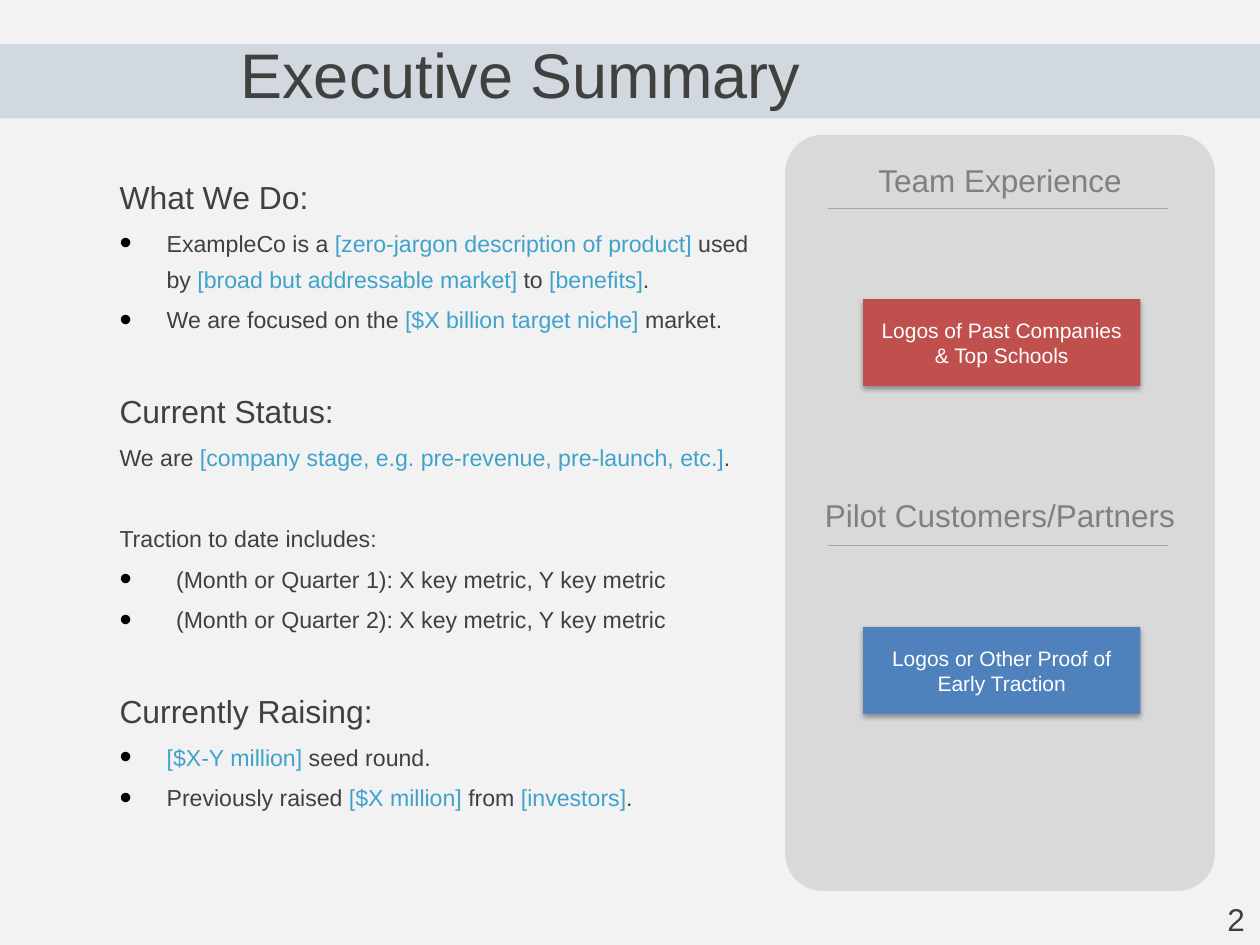
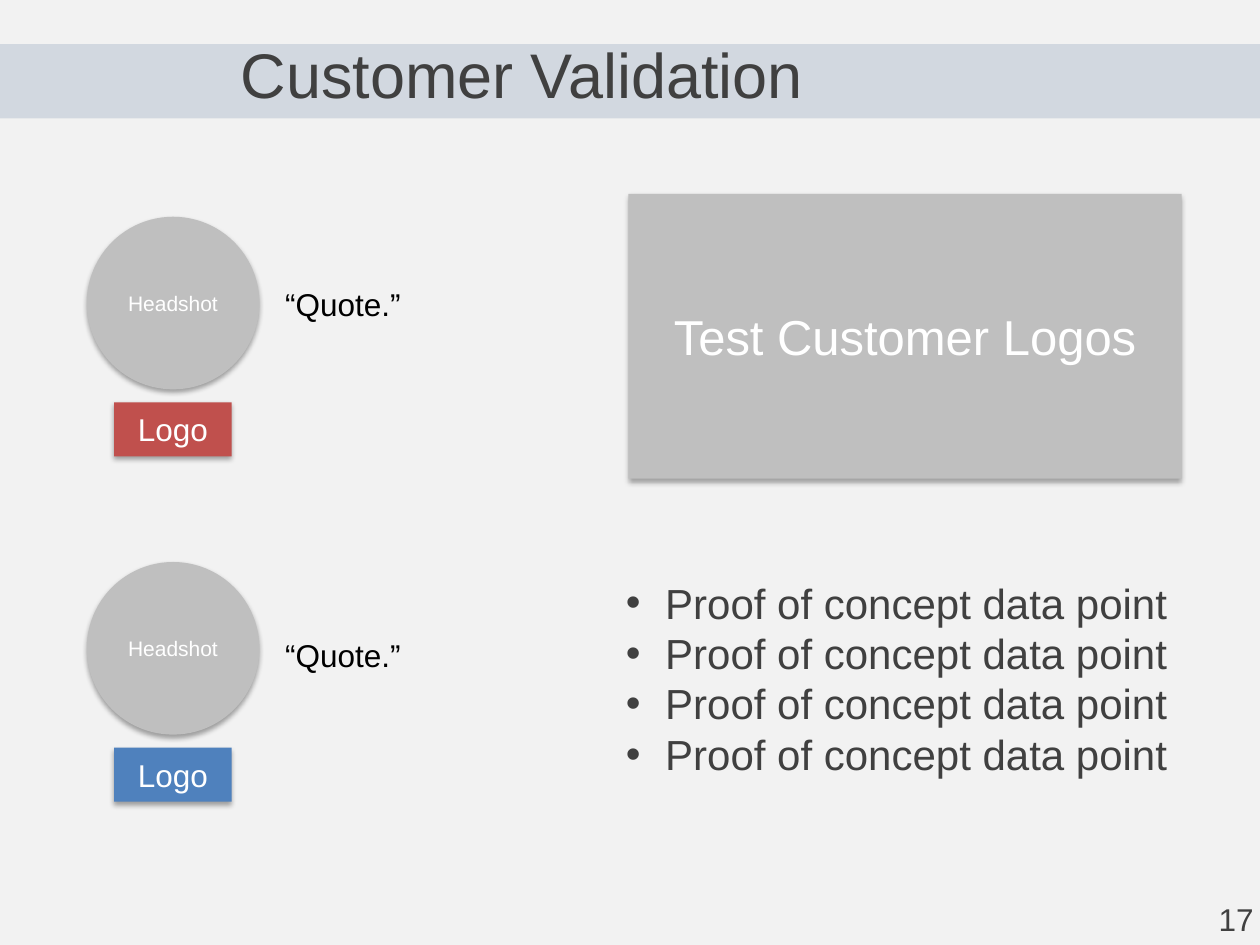
from dataclasses import dataclass

from lxml.etree import SubElement
from pptx import Presentation
from pptx.dml.color import RGBColor
from pptx.enum.shapes import MSO_CONNECTOR, MSO_SHAPE
from pptx.enum.text import MSO_ANCHOR, MSO_AUTO_SIZE, PP_ALIGN
from pptx.oxml.ns import qn
from pptx.util import Cm, Pt


@dataclass(frozen=True)
class Theme:
    """Colours, font and type sizes of the deck."""

    font: str = "Arial"
    background: str = "F2F2F2"
    band: str = "1F497D"
    band_opacity: int = 15
    text: str = "404040"
    highlight: str = "40A2CB"
    black: str = "000000"
    white: str = "FFFFFF"
    panel: str = "D9D9D9"
    panel_heading: str = "808080"
    rule: str = "A6A6A6"
    placeholder: str = "BFBFBF"
    red: str = "C0504D"
    blue: str = "4F81BD"
    title_size: float = 36
    callout_size: float = 28
    point_size: float = 24
    heading_size: float = 18.2
    label_size: float = 18
    body_size: float = 13.2
    caption_size: float = 12


@dataclass(frozen=True)
class Box:
    """A rectangle measured in centimetres."""

    left: float
    top: float
    width: float
    height: float

    def inner(self, left, top, width, height):
        """Return a box placed relative to this one."""
        return Box(self.left + left, self.top + top, width, height)

    def lengths(self):
        """Return the four lengths as Cm values."""
        return Cm(self.left), Cm(self.top), Cm(self.width), Cm(self.height)


THEME = Theme()
PAGE = Box(0, 0, 25.4, 19.05)
TITLE_BAND = Box(0, 0.89, 25.4, 1.5)
SUMMARY = Box(2.16, 3.23, 13.21, 15.32)
PANEL = Box(15.83, 2.72, 8.66, 15.24)
TESTIMONIAL = Box(1.75, 4.37, 6.7, 4.82)
TESTIMONIAL_PITCH = 6.96
CUSTOMER_LOGOS = Box(12.67, 3.91, 11.15, 5.74)
PROOF_POINTS = Box(12.37, 11.51, 11.71, 4.37)
PAGE_NUMBER = Box(24.31, 18.01, 1.22, 1.02)

PLAIN, HEADING, BULLET, WIDE_BULLET = "plain", "heading", "bullet", "wide bullet"
BULLET_INDENTS = {BULLET: 0.95, WIDE_BULLET: 1.14}
BLANK_LINE = 23.4
SUMMARY_TEXT = [
    (HEADING, 0, ["What We Do:"]),
    (BULLET, 0, ["ExampleCo is a ", "[zero-jargon description of product]", " used by ",
                 "[broad but addressable market]", " to ", "[benefits]", "."]),
    (BULLET, 0, ["We are focused on the ", "[$X billion target niche]", " market."]),
    (HEADING, BLANK_LINE, ["Current Status:"]),
    (PLAIN, 0, ["We are ", "[company stage, e.g. pre-revenue, pre-launch, etc.]", "."]),
    (PLAIN, BLANK_LINE, ["Traction to date includes:"]),
    (WIDE_BULLET, 0, ["(Month or Quarter 1): X key metric, Y key metric"]),
    (WIDE_BULLET, 0, ["(Month or Quarter 2): X key metric, Y key metric"]),
    (HEADING, BLANK_LINE, ["Currently Raising:"]),
    (BULLET, 0, ["[$X-Y million]", " seed round."]),
    (BULLET, 0, ["Previously raised ", "[$X million]", " from ", "[investors]", "."]),
]


def add_run(paragraph, text, size, color):
    """Append one formatted run."""
    run = paragraph.add_run()
    run.text = text
    run.font.name = THEME.font
    run.font.size = Pt(size)
    run.font.color.rgb = RGBColor.from_string(color)


def add_bullet(paragraph, indent, color=None, percent=None):
    """Give a paragraph a hanging round bullet."""
    properties = paragraph._p.get_or_add_pPr()
    properties.set("marL", str(Cm(indent)))
    properties.set("indent", str(-Cm(indent)))
    if color:
        SubElement(SubElement(properties, qn("a:buClr")), qn("a:srgbClr"), val=color)
    if percent:
        SubElement(properties, qn("a:buSzPct"), val=str(percent * 1000))
    SubElement(properties, qn("a:buFont"), typeface=THEME.font)
    SubElement(properties, qn("a:buChar"), char="•")


def add_text_frame(slide, box, wrap=True):
    """Add a text box and return its frame."""
    frame = slide.shapes.add_textbox(*box.lengths()).text_frame
    frame.word_wrap = wrap
    frame.auto_size = MSO_AUTO_SIZE.NONE if wrap else MSO_AUTO_SIZE.SHAPE_TO_FIT_TEXT
    return frame


def add_label(slide, box, text, color, alignment=PP_ALIGN.CENTER):
    """Add a single-line label."""
    paragraph = add_text_frame(slide, box, wrap=False).paragraphs[0]
    paragraph.alignment = alignment
    add_run(paragraph, text, THEME.label_size, color)


def add_filled_shape(slide, kind, box, color):
    """Add a flat shape without outline or shadow."""
    shape = slide.shapes.add_shape(kind, *box.lengths())
    shape.fill.solid()
    shape.fill.fore_color.rgb = RGBColor.from_string(color)
    shape.line.fill.background()
    shape.shadow.inherit = False
    return shape


def add_card(slide, kind, box, color, text, size):
    """Add a shape with a soft shadow and centred white text."""
    shape = add_filled_shape(slide, kind, box, color)
    effects = shape._element.spPr.find(qn("a:effectLst"))
    shadow = SubElement(effects, qn("a:outerShdw"), blurRad=str(Pt(3.1)),
                        dist=str(Pt(1.8)), dir="5400000", rotWithShape="0")
    shadow_color = SubElement(shadow, qn("a:srgbClr"), val=THEME.black)
    SubElement(shadow_color, qn("a:alpha"), val="35000")
    frame = shape.text_frame
    frame.word_wrap = True
    frame.vertical_anchor = MSO_ANCHOR.MIDDLE
    paragraph = frame.paragraphs[0]
    paragraph.alignment = PP_ALIGN.CENTER
    add_run(paragraph, text, size, THEME.white)


def add_rule(slide, box):
    """Draw a thin horizontal rule along the top of a box."""
    left, top, width, _ = box.lengths()
    rule = slide.shapes.add_connector(MSO_CONNECTOR.STRAIGHT, left, top, left + width, top)
    rule.line.color.rgb = RGBColor.from_string(THEME.rule)
    rule.line.width = Pt(0.25)
    SubElement(rule._element.spPr, qn("a:effectLst"))


def add_title_band(slide, box, title):
    """Add the tinted band and the slide title."""
    band = add_filled_shape(slide, MSO_SHAPE.RECTANGLE, box, THEME.band)
    band_color = band._element.spPr.find(qn("a:solidFill")).find(qn("a:srgbClr"))
    SubElement(band_color, qn("a:alpha"), val=str(THEME.band_opacity * 1000))
    frame = add_text_frame(slide, box.inner(4.6, 0, 17.02, box.height))
    paragraph = frame.paragraphs[0]
    paragraph.line_spacing = 0.8
    add_run(paragraph, title, THEME.title_size, THEME.text)


def add_framed_slide(presentation, title, number):
    """Add a blank slide with the shared title band and page number."""
    slide = presentation.slides.add_slide(presentation.slide_layouts[6])
    add_title_band(slide, TITLE_BAND, title)
    add_label(slide, PAGE_NUMBER, str(number), THEME.text)
    return slide


def add_summary(slide, box):
    """Write the summary, with bracketed fields highlighted."""
    frame = add_text_frame(slide, box)
    for index, (style, gap, texts) in enumerate(SUMMARY_TEXT):
        paragraph = frame.add_paragraph() if index else frame.paragraphs[0]
        size = THEME.heading_size if style == HEADING else THEME.body_size
        if style in BULLET_INDENTS:
            add_bullet(paragraph, BULLET_INDENTS[style], THEME.black, 150)
        paragraph.line_spacing = 1.3
        if index:
            paragraph.space_before = Pt(round(gap + size * 0.2, 1))
        for text in texts:
            color = THEME.highlight if text.startswith("[") else THEME.text
            add_run(paragraph, text, size, color)


def add_panel_section(slide, box, heading, rule_top, card_top, color, text):
    """Add a heading, its rule and a logo card."""
    add_label(slide, box.inner(0.2, 0, box.width - 0.4, 1.02), heading, THEME.panel_heading)
    add_rule(slide, box.inner(0.86, rule_top, 6.86, 0))
    add_card(slide, MSO_SHAPE.RECTANGLE, box.inner(1.57, card_top, 5.59, 1.75),
             color, text, THEME.caption_size)


def add_panel(slide, box):
    """Add the rounded side panel with its two sections."""
    panel = add_filled_shape(slide, MSO_SHAPE.ROUNDED_RECTANGLE, box, THEME.panel)
    panel.adjustments[0] = 0.087
    add_panel_section(slide, box.inner(0, 0.41, box.width, 6), "Team Experience",
                      1.07, 2.9, THEME.red, "Logos of Past Companies & Top Schools")
    add_panel_section(slide, box.inner(0, 7.16, box.width, 6), "Pilot Customers/Partners",
                      1.12, 2.76, THEME.blue, "Logos or Other Proof of Early Traction")


def add_testimonial(slide, box, logo_color, quote_top):
    """Add a headshot, a logo and a quote."""
    add_card(slide, MSO_SHAPE.OVAL, box.inner(0, 0, 3.48, 3.48),
             THEME.placeholder, "Headshot", THEME.caption_size)
    add_card(slide, MSO_SHAPE.RECTANGLE, box.inner(0.55, 3.74, 2.37, 1.09),
             logo_color, "Logo", THEME.label_size)
    add_label(slide, box.inner(3.75, quote_top, 2.95, 1.02), "“Quote.”",
              THEME.black, PP_ALIGN.LEFT)


def add_proof_points(slide, box):
    """Add the list of proof points."""
    frame = add_text_frame(slide, box, wrap=False)
    for index in range(4):
        paragraph = frame.add_paragraph() if index else frame.paragraphs[0]
        add_bullet(paragraph, 0.79)
        add_run(paragraph, "Proof of concept data point", THEME.point_size, THEME.text)


def build_summary_slide(presentation):
    """Build the executive summary slide."""
    slide = add_framed_slide(presentation, "Executive Summary", 2)
    add_summary(slide, SUMMARY)
    add_panel(slide, PANEL)


def build_validation_slide(presentation):
    """Build the customer validation slide."""
    slide = add_framed_slide(presentation, "Customer Validation", 17)
    for row, (logo_color, quote_top) in enumerate([(THEME.red, 1.26), (THEME.blue, 1.36)]):
        box = TESTIMONIAL.inner(0, row * TESTIMONIAL_PITCH, TESTIMONIAL.width, TESTIMONIAL.height)
        add_testimonial(slide, box, logo_color, quote_top)
    add_card(slide, MSO_SHAPE.RECTANGLE, CUSTOMER_LOGOS, THEME.placeholder,
             "Test Customer Logos", THEME.callout_size)
    add_proof_points(slide, PROOF_POINTS)


def main():
    """Build and save the presentation."""
    presentation = Presentation()
    presentation.slide_width = Cm(PAGE.width)
    presentation.slide_height = Cm(PAGE.height)
    background = presentation.slide_master.background.fill
    background.solid()
    background.fore_color.rgb = RGBColor.from_string(THEME.background)
    build_summary_slide(presentation)
    build_validation_slide(presentation)
    presentation.save("out.pptx")


if __name__ == "__main__":
    main()
